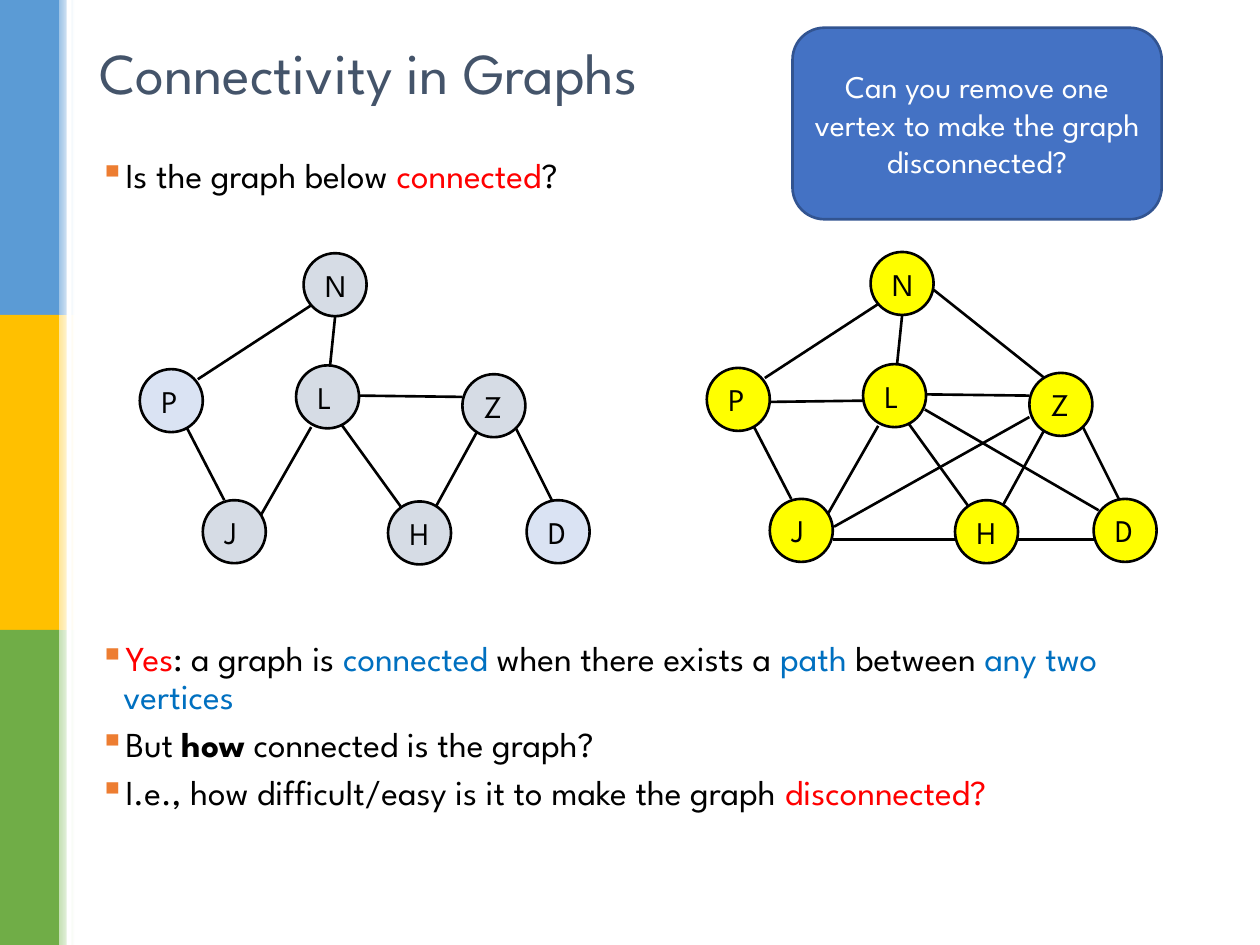
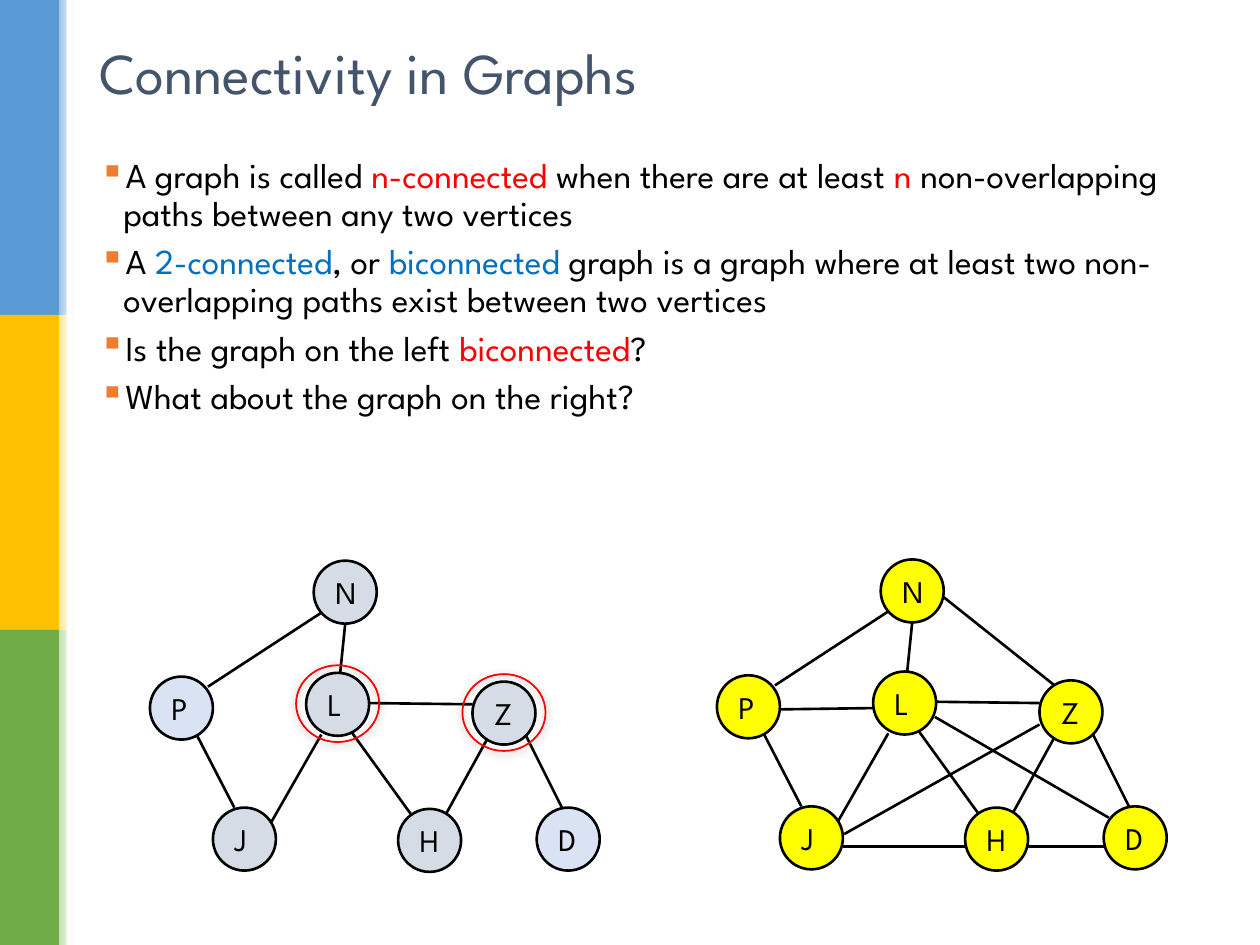
from typing import NamedTuple

from lxml.etree import SubElement
from pptx import Presentation
from pptx.dml.color import RGBColor
from pptx.enum.shapes import MSO_CONNECTOR as Link, MSO_SHAPE as Kind
from pptx.enum.text import MSO_ANCHOR as Anchor, PP_ALIGN as Align
from pptx.oxml.ns import qn
from pptx.util import Emu, Pt

SCALE = 9144
FONT = "League Spartan"
BLACK, WHITE, RED, BLUE = "000000", "FFFFFF", "FF0000", "0070C0"
SLATE, ORANGE, YELLOW = "44546A", "ED7D31", "FFFF00"
GREY, PALE = "D6DCE5", "DAE3F3"
NODE = 50
RING = (66, 61)
BODY = (69, 121, 892, 617)


class Band(NamedTuple):
    hue: str
    tint: str


class Run(NamedTuple):
    text: str
    hue: str = BLACK
    bold: bool = False


class Edge(NamedTuple):
    x1: int
    y1: int
    x2: int
    y2: int


class Graph(NamedTuple):
    x: int
    y: int
    edges: list[Edge]
    hue: str
    leaf: str


BANDS = [Band("5B9BD5", "9DC3E6"), Band("FFC000", "FFE699"), Band("70AD47", "C5E0B4")]
NODES = {"P": (0, 92), "J": (50, 196), "N": (130, 0), "Z": (256, 96),
         "H": (197, 197), "D": (307, 196), "L": (124, 89)}
LEAVES = "PD"
SPARSE = [
    Edge(138, 40, 46, 100), Edge(174, 113, 256, 114), Edge(268, 141, 235, 201),
    Edge(37, 138, 67, 196), Edge(298, 138, 327, 196), Edge(155, 50, 151, 89),
    Edge(136, 138, 96, 208), Edge(207, 201, 160, 136),
]
DENSE = SPARSE + [
    Edge(197, 228, 100, 228), Edge(268, 100, 180, 30), Edge(256, 131, 101, 218),
    Edge(307, 228, 247, 228), Edge(311, 205, 173, 125), Edge(124, 118, 50, 119),
]

ASK = [[Run("Is the graph below "), Run("connected", RED), Run("?")]]
REPLY = [
    [Run("Yes", RED), Run(": a graph is "), Run("connected ", BLUE),
     Run("when there exists a "), Run("path", BLUE), Run(" between "),
     Run("any two vertices", BLUE)],
    [Run("But "), Run("how", bold=True), Run(" connected is the graph?")],
    [Run("I.e., how difficult/easy is it to make the graph"), Run(" disconnected?", RED)],
]
TERMS = [
    [Run("A graph is called "), Run("n-connected ", RED), Run("when there are at least "),
     Run("n", RED), Run(" non-overlapping paths between any two vertices")],
    [Run("A "), Run("2-connected", BLUE), Run(", or "), Run("biconnected", BLUE),
     Run(" graph is a graph where at least two non-overlapping paths exist "
         "between two vertices")],
    [Run("Is the graph on the left "), Run("biconnected", RED), Run("?")],
    [Run("What about the graph on the right?")],
]


def px(n: int) -> Emu:
    return Emu(n * SCALE)


def color(code: str) -> RGBColor:
    return RGBColor.from_string(code)


def mark(para) -> None:
    props = para._p.get_or_add_pPr()
    props.set("marL", str(px(19)))
    props.set("indent", str(px(-19)))
    tint = SubElement(props, qn("a:buClr"))
    SubElement(tint, qn("a:srgbClr"), val=ORANGE)
    SubElement(props, qn("a:buChar"), char="▪")


def write(shape, text: list[list[Run]], *, size: int = 18, align=Align.LEFT,
          anchor=Anchor.MIDDLE, wrap: bool = True, lead: float = 1.0,
          gap: int = 0, bullet: bool = False) -> None:
    frame = shape.text_frame
    frame.word_wrap = wrap
    frame.vertical_anchor = anchor
    for i, runs in enumerate(text):
        para = frame.add_paragraph() if i else frame.paragraphs[0]
        para.alignment = align
        para.line_spacing = lead
        para.space_before = Pt(gap if i else 0)
        if bullet:
            mark(para)
        for part in runs:
            run = para.add_run()
            run.text = part.text
            font = run.font
            font.name, font.size, font.bold = FONT, Pt(size), part.bold
            font.color.rgb = color(part.hue)


def draw(slide, kind, x: int, y: int, w: int, h: int, *, fill: str = "",
         line: str = "", width: float = 1.5):
    shape = slide.shapes.add_shape(kind, px(x), px(y), px(w), px(h))
    shape.shadow.inherit = False
    if fill:
        shape.fill.solid()
        shape.fill.fore_color.rgb = color(fill)
    else:
        shape.fill.background()
    if line:
        shape.line.color.rgb = color(line)
        shape.line.width = Pt(width)
    else:
        shape.line.fill.background()
    return shape


def fade(shape, tint: str) -> None:
    shape.fill.gradient()
    shape.fill.gradient_angle = 0
    for stop, hue, spot in zip(shape.fill.gradient_stops, (tint, WHITE), (0, 1)):
        stop.color.rgb = color(hue)
        stop.position = spot


def box(slide, x: int, y: int, w: int, h: int):
    return slide.shapes.add_textbox(px(x), px(y), px(w), px(h))


def list_out(slide, text: list[list[Run]], x: int, y: int, w: int, h: int) -> None:
    write(box(slide, x, y, w, h), text, size=20, anchor=Anchor.TOP,
          lead=0.9, gap=6, bullet=True)


def join(slide, edge: Edge, x: int, y: int) -> None:
    link = slide.shapes.add_connector(Link.STRAIGHT, px(x + edge.x1), px(y + edge.y1),
                                      px(x + edge.x2), px(y + edge.y2))
    link.line.color.rgb = color(BLACK)
    link.line.width = Pt(1.5)
    SubElement(link._element.spPr, qn("a:effectLst"))


def plot(slide, graph: Graph) -> None:
    for edge in graph.edges:
        join(slide, edge, graph.x, graph.y)
    for name, (x, y) in NODES.items():
        fill = graph.leaf if name in LEAVES else graph.hue
        node = draw(slide, Kind.OVAL, graph.x + x, graph.y + y, NODE, NODE,
                    fill=fill, line=BLACK)
        write(node, [[Run(name)]], wrap=False)


def ring(slide, graph: Graph, name: str) -> None:
    x, y = NODES[name]
    w, h = RING
    halo = draw(slide, Kind.OVAL, graph.x + x + (NODE - w) // 2,
                graph.y + y + (NODE - h) // 2, w, h, line=RED, width=1)
    glow = SubElement(halo._element.spPr.find(qn("a:effectLst")), qn("a:outerShdw"),
                      blurRad=str(Pt(5)), dist=str(Pt(1)), dir="5400000", rotWithShape="0")
    tint = SubElement(glow, qn("a:srgbClr"), val=BLACK)
    SubElement(tint, qn("a:alpha"), val="32000")


def start(deck):
    slide = deck.slides.add_slide(deck.slide_layouts[6])
    for i, band in enumerate(BANDS):
        draw(slide, Kind.RECTANGLE, 0, 250 * i, 47, 250, fill=band.hue)
        fade(draw(slide, Kind.RECTANGLE, 47, 250 * i, 12, 250), band.tint)
    draw(slide, Kind.RECTANGLE, 53, 0, 4, 750, fill=WHITE)
    write(box(slide, 69, 26, 862, 68), [[Run("Connectivity in Graphs", SLATE)]],
          size=33, lead=0.9)
    return slide


def pair(slide, x: int, y: int) -> Graph:
    left = Graph(x, y, SPARSE, GREY, PALE)
    plot(slide, left)
    plot(slide, Graph(x + 450, y - 1, DENSE, YELLOW, YELLOW))
    return left


def main() -> None:
    """Build the two slides on graph connectivity."""
    deck = Presentation()
    deck.slide_width, deck.slide_height = px(1000), px(750)

    slide = start(deck)
    x, y, w, _ = BODY
    list_out(slide, ASK, x, y, w, 50)
    list_out(slide, REPLY, x, 504, w, 234)
    pair(slide, 111, 201)
    call = draw(slide, Kind.ROUNDED_RECTANGLE, 629, 22, 293, 152,
                fill="4472C4", line="325491")
    write(call, [[Run("Can you remove one vertex to make the graph disconnected?", WHITE)]],
          align=Align.CENTER)

    slide = start(deck)
    list_out(slide, TERMS, *BODY)
    left = pair(slide, 119, 445)
    for name in "LZ":
        ring(slide, left, name)

    deck.save("out.pptx")


if __name__ == "__main__":
    main()
